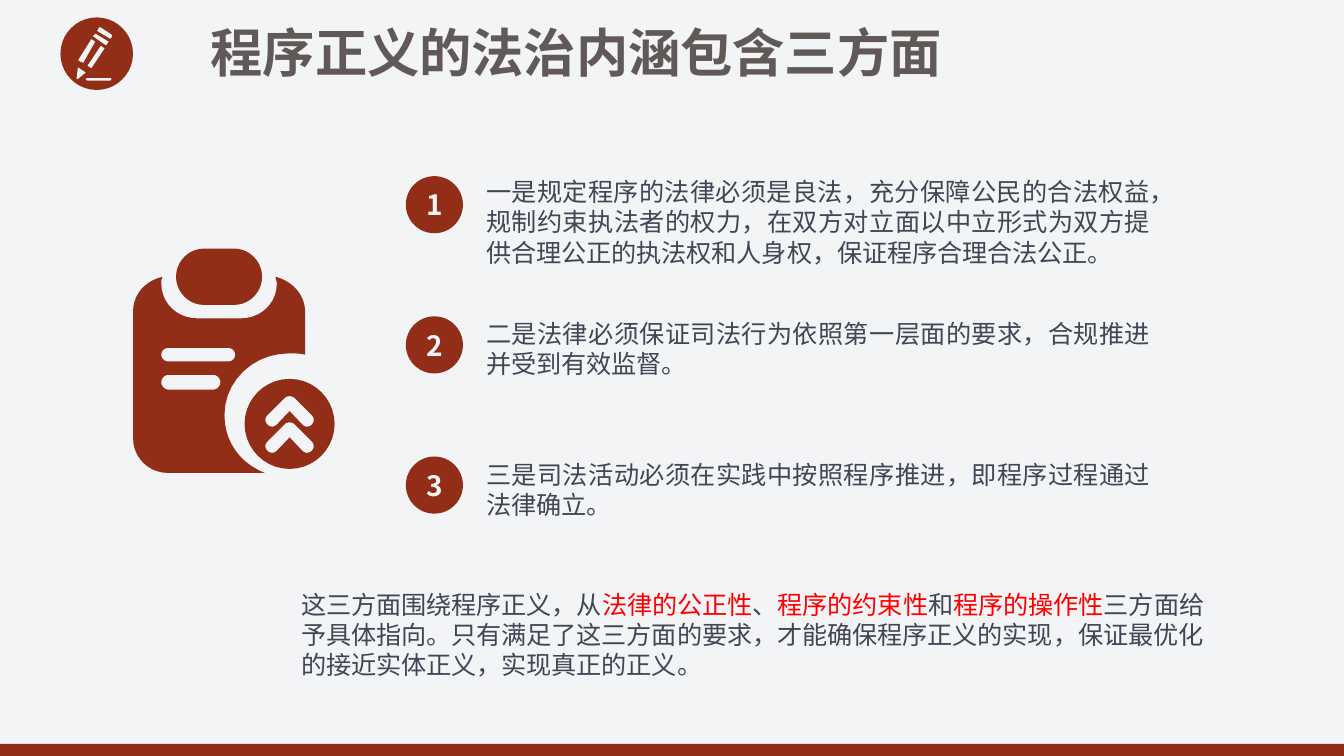
from lxml import etree
from pptx import Presentation
from pptx import util as u
from pptx.dml.color import RGBColor
from pptx.enum import shapes, text
from pptx.oxml.ns import qn

BRICK, PAPER, SLATE, RED, GREY = "922E17", "F3F4F6", "424554", "FF0000", "605958"
FONT = "Noto Sans CJK SC"
color = RGBColor.from_string


def rounded(left, top, right, bottom, radius):
    k = radius * 0.45
    return [
        (left + radius, top), (right - radius, top),
        (right - k, top, right, top + k, right, top + radius),
        (right, bottom - radius),
        (right, bottom - k, right - k, bottom, right - radius, bottom),
        (left + radius, bottom),
        (left + k, bottom, left, bottom - k, left, bottom - radius),
        (left, top + radius),
        (left, top + k, left + k, top, left + radius, top),
    ]


def draw_icon(contours):
    unit = u.Cm(0.0254)
    builder = None
    for contour in contours:
        points = [contour[0]]
        for step in contour[1:]:
            if len(step) == 2:
                points.append(step)
                continue
            x0, y0 = points[-1]
            x1, y1, x2, y2, x3, y3 = step
            for t in [n / 10 for n in range(1, 11)]:
                a, b, c, d = (1 - t) ** 3, 3 * t * (1 - t) ** 2, 3 * t * t * (1 - t), t ** 3
                points.append((a * x0 + b * x1 + c * x2 + d * x3, a * y0 + b * y1 + c * y2 + d * y3))
        points = [(x * unit, y * unit) for x, y in points]
        if builder is None:
            builder = slide.shapes.build_freeform(*points[0], scale=1.0)
        else:
            builder.move_to(*points[0])
        builder.add_line_segments(points[1:], close=True)
    return builder.convert_to_shape()


presentation = Presentation()
presentation.slide_width, presentation.slide_height = u.Cm(25.4), u.Cm(14.29)
slide = presentation.slides.add_slide(presentation.slide_layouts[5])
slide.background.fill.solid()
slide.background.fill.fore_color.rgb = color(PAPER)

bar = slide.shapes.add_shape(shapes.MSO_SHAPE.RECTANGLE, 0, u.Cm(14.06), u.Cm(25.4), u.Cm(0.23))

pencil_badge = draw_icon([
    rounded(45, 13, 99, 67, 27),
    rounded(64, 58, 83, 60, 1),
    [(65, 49), (75, 34), (78, 36), (68, 51)],
    [(58, 45), (68, 29), (71, 31), (62, 47)],
    [(57, 58), (58, 50), (64, 54), (58, 59), (57, 59, 57, 59, 57, 58)],
    [(71, 25), (69, 27), (79, 34), (81, 31)],
    [(73, 22), (73, 20, 75, 20, 76, 21), (82, 25), (83, 25, 84, 27, 83, 28), (82, 29), (72, 23)],
])

clipboard = draw_icon([
    rounded(131, 185, 195, 227, 21),
    [(205, 206), (205, 208, 206, 209, 206, 211), (206, 226, 194, 237, 179, 237), (147, 237),
     (132, 237, 120, 226, 120, 211), (120, 209, 120, 208, 121, 206), (108, 209, 99, 219, 99, 232),
     (99, 326), (99, 341, 111, 352, 125, 352), (197, 352), (179, 345, 167, 329, 167, 309),
     (167, 283, 189, 263, 215, 263), (219, 263, 223, 263, 227, 264), (227, 232),
     (227, 219, 217, 209, 205, 206)],
    rounded(120, 279, 164, 290, 5.5),
    rounded(120, 259, 175, 269, 5),
])

chevrons = [
    [(219, 296 + y), (232, 309 + y), (234, 311 + y, 234, 314 + y, 232, 316 + y),
     (230, 318 + y, 227, 318 + y, 225, 316 + y), (215.5, 306 + y), (206, 316 + y),
     (204, 318 + y, 201, 318 + y, 199, 316 + y), (197, 314 + y, 197, 311 + y, 199, 309 + y),
     (212, 296 + y), (214, 294.5 + y, 217, 294.5 + y, 219, 296 + y)]
    for y in (0, 19.5)
]
upgrade_badge = draw_icon([rounded(182, 282, 249, 349, 33.5), *chevrons])

title = slide.shapes.title
title_format = {"size": u.Pt(28), "bold": True, "name": FONT}
body_format = {"size": u.Pt(13.5), "bold": False, "name": FONT}
number_format = {"size": u.Pt(15), "bold": True, "name": FONT}
left, center, justify = text.PP_ALIGN.LEFT, text.PP_ALIGN.CENTER, text.PP_ALIGN.JUSTIFY
entries = [(title, (3.73, 0.25, 14.48, 1.45), [("程序正义的法治内涵包含三方面", GREY)], title_format, left, 33.6)]

points = [
    ("一是规定程序的法律必须是良法，充分保障公民的合法权益，规制约束执法者的权力，在双方对立面以中立形式为双方提供合理公正的执法权和人身权，保证程序合理合法公正。", 1.98),
    ("二是法律必须保证司法行为依照第一层面的要求，合规推进并受到有效监督。", 1.4),
    ("三是司法活动必须在实践中按照程序推进，即程序过程通过法律确立。", 1.4),
]
circles = []
for index, (wording, height) in enumerate(points):
    circle = slide.shapes.add_shape(shapes.MSO_SHAPE.OVAL, 0, 0, 0, 0)
    circles.append(circle)
    box = slide.shapes.add_textbox(0, 0, 0, 0)
    entries += [
        (circle, (7.67, 3.33 + 2.65 * index, 1.08, 1.08), [(str(index + 1), PAPER)], number_format, center, None),
        (box, (8.94, 3.22 + 2.67 * index, 13.06, height), [(wording, SLATE)], body_format, justify, 16.1),
    ]

summary = slide.shapes.add_textbox(0, 0, 0, 0)
summary_runs = [
    ("这三方面围绕程序正义，从", SLATE), ("法律的公正性", RED), ("、", SLATE), ("程序的约束性", RED),
    ("和", SLATE), ("程序的操作性", RED),
    ("三方面给予具体指向。只有满足了这三方面的要求，才能确保程序正义的实现，保证最优化的接近实体正义，实现真正的正义。", SLATE),
]
entries.append((summary, (5.44, 11.02, 17.6, 1.98), summary_runs, {**body_format, "name": "Arial"}, left, 16.1))

for shape, place, runs, font_format, alignment, spacing in entries:
    for name, value in zip(("left", "top", "width", "height"), place):
        setattr(shape, name, u.Cm(value))
    frame = shape.text_frame
    frame.word_wrap = True
    frame.auto_size = text.MSO_AUTO_SIZE.NONE
    frame.vertical_anchor = text.MSO_ANCHOR.MIDDLE if shape in circles else text.MSO_ANCHOR.TOP
    if shape in circles:
        frame.margin_left = frame.margin_right = u.Cm(0.18)
        frame.margin_top = frame.margin_bottom = u.Cm(0.1)
    paragraph = frame.paragraphs[0]
    paragraph.alignment = alignment
    if spacing:
        paragraph.line_spacing = u.Pt(spacing)
    for wording, tint in runs:
        run = paragraph.add_run()
        run.text = wording
        for name, value in font_format.items():
            setattr(run.font, name, value)
        run.font.color.rgb = color(tint)
        etree.SubElement(run.font._element, qn("a:ea"), typeface=FONT)

for shape in [bar, pencil_badge, clipboard, upgrade_badge, *circles]:
    shape.shadow.inherit = False
    shape.fill.solid()
    shape.fill.fore_color.rgb = color(BRICK)
    shape.line.fill.background()

presentation.save("out.pptx")
